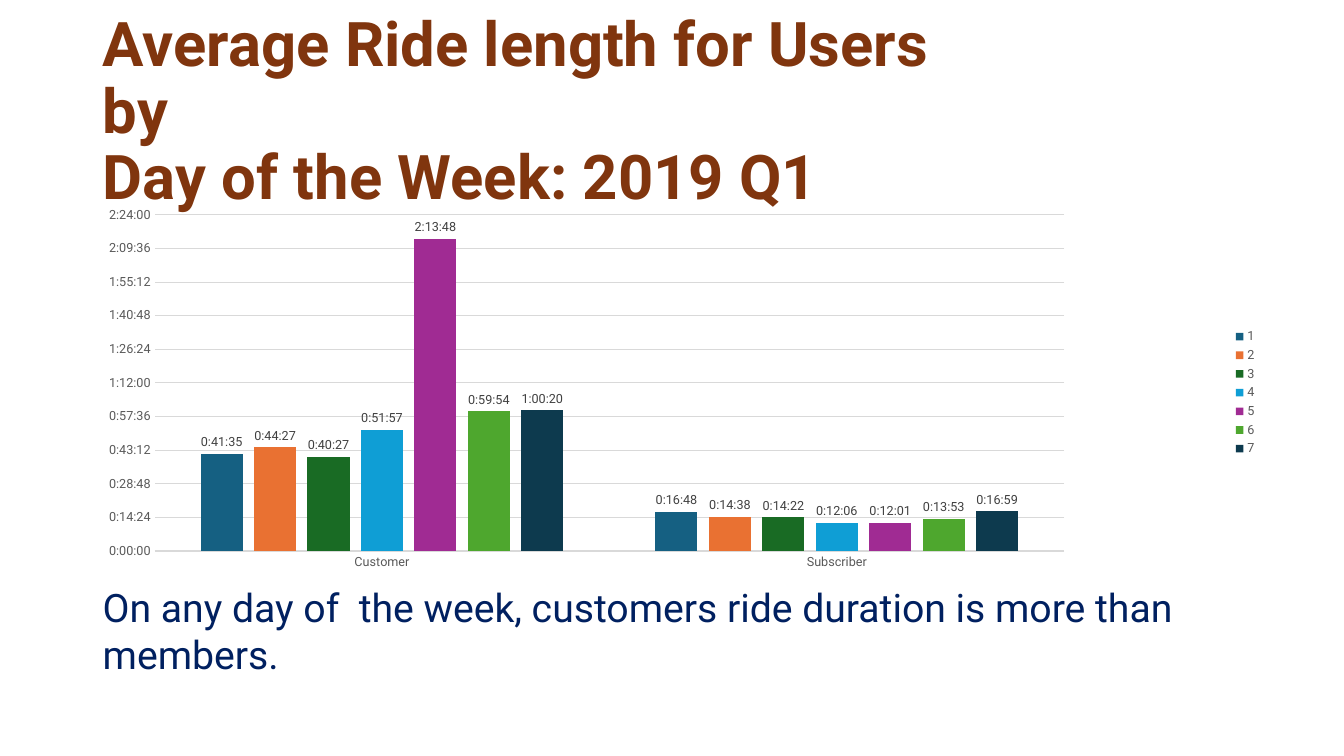
from dataclasses import dataclass

from lxml.etree import SubElement
from pptx import Presentation
from pptx.chart.data import CategoryChartData
from pptx.chart.series import BarSeries
from pptx.dml.color import RGBColor
from pptx.enum.chart import (
    XL_CHART_TYPE,
    XL_LABEL_POSITION,
    XL_LEGEND_POSITION,
    XL_TICK_MARK,
)
from pptx.enum.text import MSO_ANCHOR, MSO_AUTO_SIZE
from pptx.oxml.ns import qn
from pptx.chart.chart import Chart
from pptx.slide import Slide
from pptx.text.text import Font
from pptx.util import Cm, Pt


@dataclass(frozen=True)
class Theme:
    font: str = "Roboto"
    title: str = "80350E"
    message: str = "002060"
    axis_text: str = "595959"
    label_text: str = "404040"
    grid: str = "D9D9D9"
    title_size: int = 44
    message_size: int = 28
    chart_size: int = 9
    grid_width: float = 0.75


@dataclass(frozen=True)
class Box:
    """A position and size in centimetres."""

    left: float
    top: float
    width: float
    height: float

    def lengths(self) -> tuple[Cm, Cm, Cm, Cm]:
        return Cm(self.left), Cm(self.top), Cm(self.width), Cm(self.height)


@dataclass(frozen=True)
class Weekday:
    name: str
    customer: str
    subscriber: str
    color: str


THEME = Theme()
TITLE_BOX = Box(2.34, 1.04, 21.95, 3.63)
CHART_BOX = Box(0, 5.21, 31.93, 9.37)
MESSAGE_BOX = Box(2.34, 14.58, 29.62, 2.64)
PLOT_LAYOUT = {"x": 0.122, "y": 0.022, "w": 0.718, "h": 0.904}
TIME_FORMAT = "[h]:mm:ss;@"
WEEKDAYS = [
    Weekday("1", "0:41:35", "0:16:48", "156082"),
    Weekday("2", "0:44:27", "0:14:38", "E97132"),
    Weekday("3", "0:40:27", "0:14:22", "196B24"),
    Weekday("4", "0:51:57", "0:12:06", "0F9ED5"),
    Weekday("5", "2:13:48", "0:12:01", "A02B93"),
    Weekday("6", "0:59:54", "0:13:53", "4EA72E"),
    Weekday("7", "1:00:20", "0:16:59", "0D3A4E"),
]


def day_fraction(duration: str) -> float:
    """Turn h:mm:ss into a share of a day, as spreadsheets store times."""
    hours, minutes, seconds = map(int, duration.split(":"))
    return round((hours * 3600 + minutes * 60 + seconds) / 86400, 6)


def style_font(font: Font, size: float, color: str, bold: bool = False) -> None:
    font.name = THEME.font
    font.size = Pt(size)
    font.bold = bold
    font.color.rgb = RGBColor.from_string(color)


def add_text(
    slide: Slide,
    text: str,
    box: Box,
    *,
    size: float,
    color: str,
    bold: bool = False,
    anchor: MSO_ANCHOR = MSO_ANCHOR.TOP,
    line_spacing: float = 1.0,
) -> None:
    frame = slide.shapes.add_textbox(*box.lengths()).text_frame
    frame.word_wrap = True
    frame.auto_size = MSO_AUTO_SIZE.NONE
    frame.vertical_anchor = anchor
    paragraph = frame.paragraphs[0]
    paragraph.text = text
    paragraph.line_spacing = line_spacing
    for run in paragraph.runs:
        style_font(run.font, size, color, bold)


def set_plot_layout(chart: Chart) -> None:
    """Fix the inner plot area as shares of the chart's size."""
    plot_area = chart.plots[0]._element.getparent()
    for old_layout in plot_area.findall(qn("c:layout")):
        plot_area.remove(old_layout)
    layout = SubElement(plot_area, qn("c:layout"))
    plot_area.insert(0, layout)
    manual = SubElement(layout, qn("c:manualLayout"))
    settings = {"layoutTarget": "inner", "xMode": "edge", "yMode": "edge"}
    for tag, value in (settings | PLOT_LAYOUT).items():
        SubElement(manual, qn(f"c:{tag}")).set("val", str(value))


def style_axes(chart: Chart) -> None:
    category_axis, value_axis = chart.category_axis, chart.value_axis
    for axis in (category_axis, value_axis):
        axis.major_tick_mark = XL_TICK_MARK.NONE
        axis.minor_tick_mark = XL_TICK_MARK.NONE
        style_font(axis.tick_labels.font, THEME.chart_size, THEME.axis_text)
    value_axis.minimum_scale = 0
    value_axis.maximum_scale = 0.1
    value_axis.major_unit = 0.01
    value_axis.tick_labels.number_format = TIME_FORMAT
    value_axis.tick_labels.number_format_is_linked = False
    value_axis.format.line.fill.background()
    value_axis.has_major_gridlines = True
    for line in (category_axis.format.line, value_axis.major_gridlines.format.line):
        line.color.rgb = RGBColor.from_string(THEME.grid)
        line.width = Pt(THEME.grid_width)


def style_series(series: BarSeries, color: str) -> None:
    series.format.fill.solid()
    series.format.fill.fore_color.rgb = RGBColor.from_string(color)
    series.format.line.fill.background()
    labels = series.data_labels
    labels.show_value = True
    labels.position = XL_LABEL_POSITION.OUTSIDE_END
    labels.number_format = TIME_FORMAT
    labels.number_format_is_linked = False
    style_font(labels.font, THEME.chart_size, THEME.label_text)


def add_ride_chart(slide: Slide) -> None:
    data = CategoryChartData(number_format=TIME_FORMAT)
    data.categories = ["Customer", "Subscriber"]
    for day in WEEKDAYS:
        durations = (day.customer, day.subscriber)
        data.add_series(day.name, [day_fraction(duration) for duration in durations])
    chart = slide.shapes.add_chart(
        XL_CHART_TYPE.COLUMN_CLUSTERED, *CHART_BOX.lengths(), data
    ).chart
    style_font(chart.font, THEME.chart_size, THEME.axis_text)
    chart.has_title = False
    chart.has_legend = True
    chart.legend.position = XL_LEGEND_POSITION.RIGHT
    chart.legend.include_in_layout = False
    style_font(chart.legend.font, THEME.chart_size, THEME.axis_text)
    plot = chart.plots[0]
    plot.vary_by_categories = False
    plot.gap_width = 219
    plot.overlap = -27
    for series, day in zip(plot.series, WEEKDAYS):
        style_series(series, day.color)
    style_axes(chart)
    set_plot_layout(chart)


def main() -> None:
    presentation = Presentation()
    presentation.slide_width, presentation.slide_height = Cm(33.87), Cm(19.05)
    slide = presentation.slides.add_slide(presentation.slide_layouts[6])
    add_text(
        slide,
        "Average Ride length for Users by\vDay of the Week: 2019 Q1",
        TITLE_BOX,
        size=THEME.title_size,
        color=THEME.title,
        bold=True,
        anchor=MSO_ANCHOR.MIDDLE,
        line_spacing=0.9,
    )
    add_ride_chart(slide)
    add_text(
        slide,
        "On any day of  the week, customers ride duration is more than members.",
        MESSAGE_BOX,
        size=THEME.message_size,
        color=THEME.message,
    )
    presentation.save("out.pptx")


if __name__ == "__main__":
    main()
